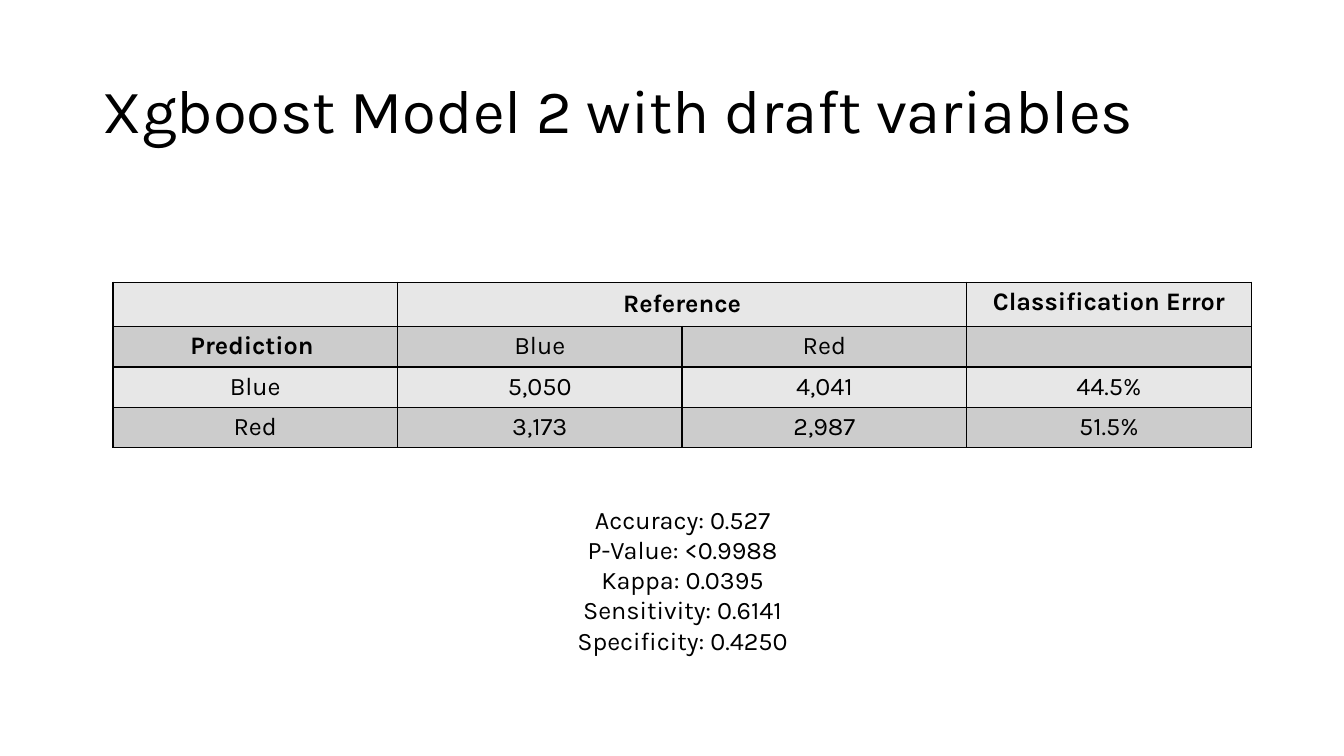
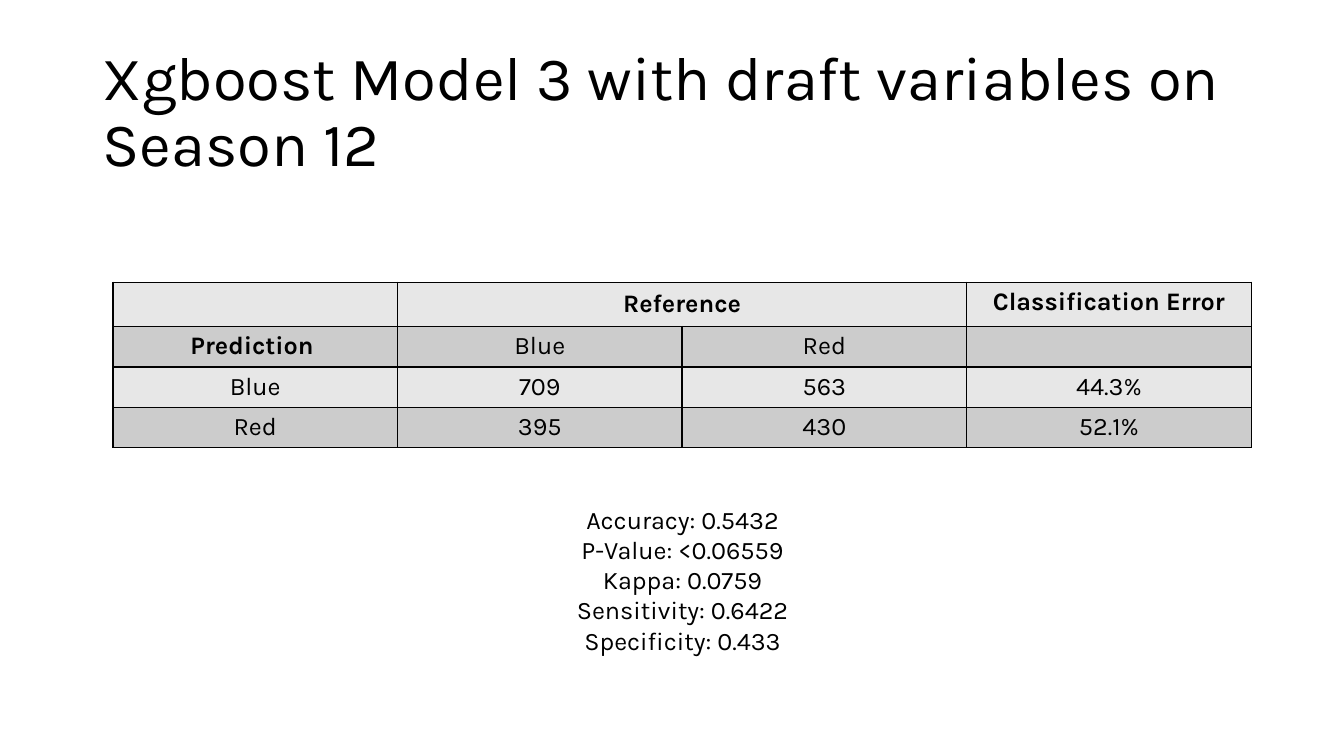
from dataclasses import dataclass
from typing import Any

from pptx import Presentation, util as u
from pptx.dml import color
from pptx.enum import text
from pptx.oxml import parse_xml
from pptx.oxml import ns


@dataclass(frozen=True)
class Theme:
    font: str = "Karla"
    ink: str = "000000"
    bands: tuple[str, str] = ("E7E7E7", "CCCCCC")
    title_size: int = 44
    body_size: int = 18
    border_width: int = 1


@dataclass(frozen=True)
class Area:
    left: float
    top: float
    width: float
    height: float

    def lengths(self) -> tuple[u.Length, ...]:
        return tuple(u.Inches(n) for n in (self.left, self.top, self.width, self.height))


@dataclass(frozen=True)
class ModelResult:
    title: str
    blue: tuple[str, str, str]
    red: tuple[str, str, str]
    measures: dict[str, str]


THEME = Theme()
TITLE_AREA = Area(0.92, 0.4, 11.5, 1.45)
TABLE_AREA = Area(1.12, 2.8, 11.29, 1.65)
MEASURES_AREA = Area(5.35, 4.95, 2.84, 2.52)
ROW_HEIGHT = 0.4
BOLD_LABELS = {"Reference", "Classification Error", "Prediction "}

RESULTS = [
    ModelResult(
        "Xgboost Model 2 with draft variables",
        ("5,050", "4,041", "44.5%"),
        ("3,173", "2,987", "51.5%"),
        {"Accuracy": "0.527", "P-Value": "<0.9988", "Kappa": "0.0395",
         "Sensitivity": "0.6141", "Specificity": "0.4250"},
    ),
    ModelResult(
        "Xgboost Model 3 with draft variables on Season 12",
        ("709", "563", "44.3%"),
        ("395", "430", "52.1%"),
        {"Accuracy": "0.5432", "P-Value": "<0.06559", "Kappa": "0.0759",
         "Sensitivity": "0.6422", "Specificity": "0.433"},
    ),
]


def set_attributes(target: Any, values: dict[str, Any]) -> None:
    for name, value in values.items():
        setattr(target, name, value)


def add_span(para: Any, words: str, size: int, bold: bool = False) -> None:
    span = para.add_run()
    span.text = words
    set_attributes(span.font, {"name": THEME.font, "size": u.Pt(size), "bold": bold})
    span.font.color.rgb = color.RGBColor.from_string(THEME.ink)


def add_text(page: Any, area: Area, lines: list[str], size: int,
             frame_format: dict[str, Any], para_format: dict[str, Any]) -> None:
    frame = page.shapes.add_textbox(*area.lengths()).text_frame
    set_attributes(frame, {"word_wrap": True, **frame_format})
    for index, line in enumerate(lines):
        para = frame.add_paragraph() if index else frame.paragraphs[0]
        set_attributes(para, para_format)
        add_span(para, line, size)


def add_borders(cell: Any) -> None:
    properties = cell._tc.get_or_add_tcPr()
    for side in ("lnL", "lnR", "lnT", "lnB"):
        properties.append(parse_xml(
            f'<a:{side} {ns.nsdecls("a")} w="{u.Pt(THEME.border_width)}">'
            f'<a:solidFill><a:srgbClr val="{THEME.ink}"/></a:solidFill></a:{side}>'))


def add_confusion_table(page: Any, result: ModelResult) -> None:
    rows = [
        ("", "Reference", "", "Classification Error"),
        ("Prediction ", "Blue", "Red", ""),
        ("Blue", *result.blue),
        ("Red", *result.red),
    ]
    table = page.shapes.add_table(len(rows), len(rows[0]), *TABLE_AREA.lengths()).table
    set_attributes(table, {"first_row": False, "horz_banding": False})
    for column in table.columns:
        column.width = u.Inches(TABLE_AREA.width / len(rows[0]))
    for row_index, labels in enumerate(rows):
        table.rows[row_index].height = u.Inches(ROW_HEIGHT)
        for column_index, label in enumerate(labels):
            cell = table.cell(row_index, column_index)
            add_borders(cell)
            cell.fill.solid()
            cell.fill.fore_color.rgb = color.RGBColor.from_string(THEME.bands[row_index % 2])
            if label:
                para = cell.text_frame.paragraphs[0]
                para.alignment = text.PP_ALIGN.CENTER
                add_span(para, label, THEME.body_size, label in BOLD_LABELS)

    reference = table.cell(0, 1)
    reference.merge(table.cell(0, 2))
    set_attributes(reference, {
        "margin_left": u.Inches(0.14), "margin_right": u.Inches(0.14),
        "margin_top": u.Inches(0.07), "margin_bottom": u.Inches(0.07),
    })


def add_result_page(deck: Any, result: ModelResult) -> None:
    page = deck.slides.add_slide(deck.slide_layouts[6])
    add_text(page, TITLE_AREA, [result.title], THEME.title_size,
             {"vertical_anchor": text.MSO_ANCHOR.MIDDLE}, {"line_spacing": 0.9})
    add_confusion_table(page, result)
    add_text(page, MEASURES_AREA,
             [f"{name}: {value}" for name, value in result.measures.items()],
             THEME.body_size,
             {"auto_size": text.MSO_AUTO_SIZE.SHAPE_TO_FIT_TEXT},
             {"alignment": text.PP_ALIGN.CENTER})


def main() -> None:
    deck = Presentation()
    set_attributes(deck, {"slide_width": u.Inches(13.33), "slide_height": u.Inches(7.5)})
    for result in RESULTS:
        add_result_page(deck, result)
    deck.save("out.pptx")


if __name__ == "__main__":
    main()
